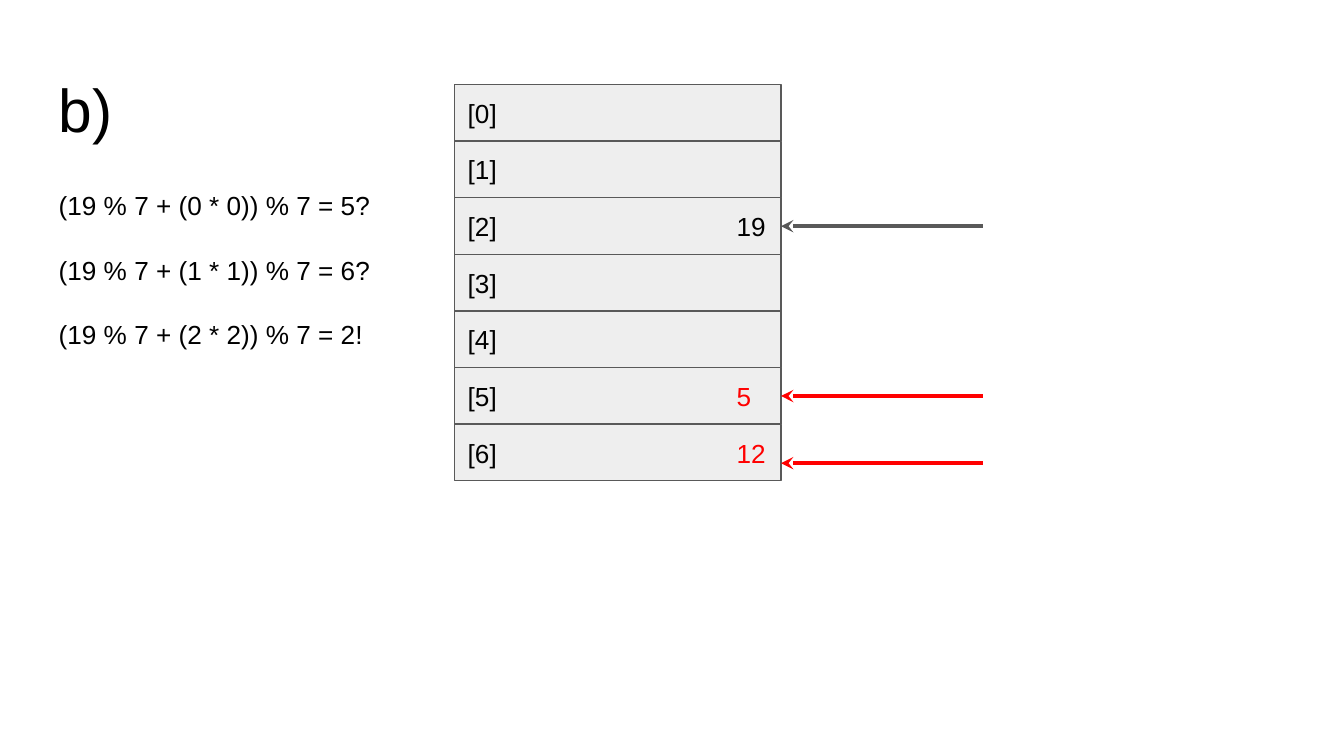
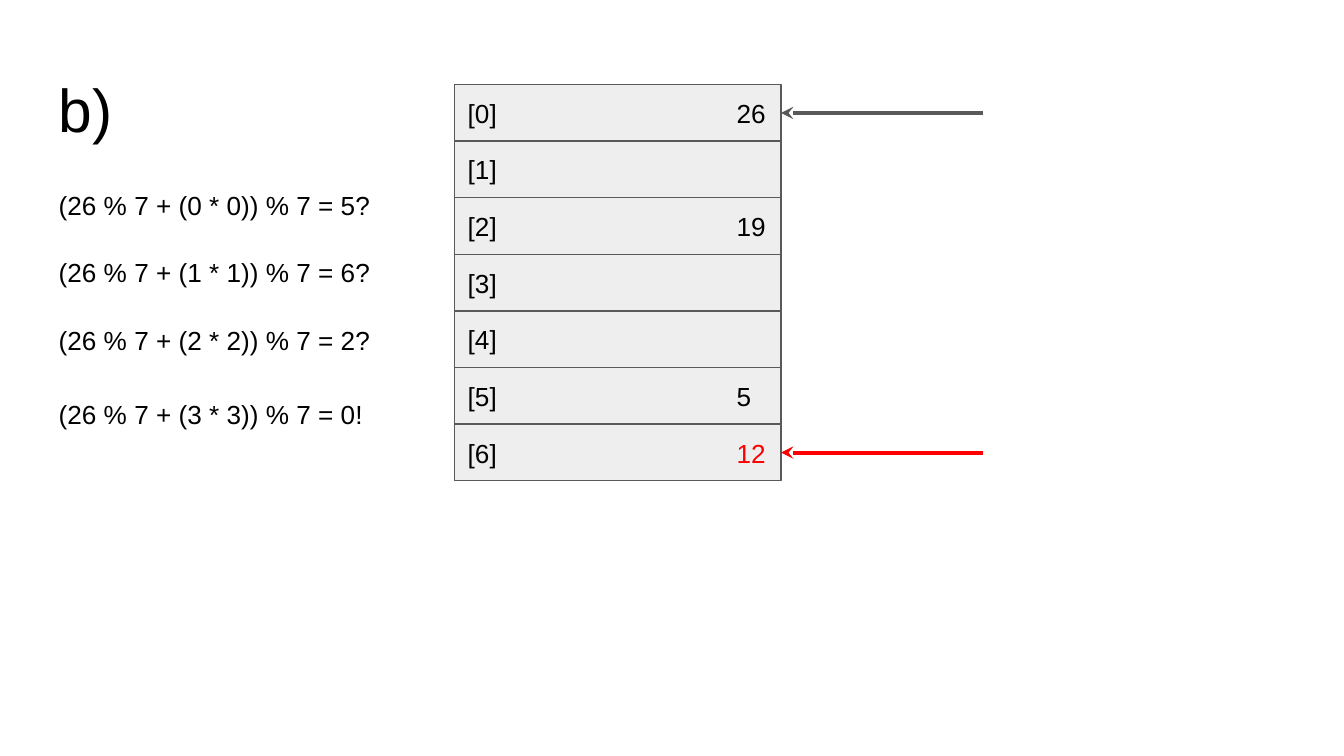
from lxml import etree
from pptx import Presentation
from pptx.dml.color import RGBColor
from pptx.enum.shapes import MSO_CONNECTOR, MSO_SHAPE
from pptx.enum.text import MSO_ANCHOR, MSO_AUTO_SIZE, PP_ALIGN
from pptx.oxml.ns import qn
from pptx.util import Cm, Pt

BLACK = RGBColor(0x00, 0x00, 0x00)
RED = RGBColor(0xFF, 0x00, 0x00)
GREY = RGBColor(0x59, 0x59, 0x59)
LIGHT_GREY = RGBColor(0xEE, 0xEE, 0xEE)

FONT = "Arial"
INSET = Cm(0.25)
TEXT_LEFT = 0.86

# Hash table geometry in centimetres
ROWS = 7
TABLE_LEFT, TABLE_TOP = 8.59, 1.6
TABLE_WIDTH, ROW_HEIGHT = 6.17, 1.07
VALUE_TAB = Cm(5.08)
ARROW_LENGTH = 3.81

# steps: (formula, top, width); entries: row -> (key, colour);
# probes: (row, colour, distance below the row's centre)
PROBINGS = [
    {
        "steps": [
            ("(19 % 7 + (0 * 0)) % 7 = 5?", 3.33, 6.58),
            ("(19 % 7 + (1 * 1)) % 7 = 6?", 4.55, 6.58),
            ("(19 % 7 + (2 * 2)) % 7 = 2!", 5.77, 7.26),
        ],
        "entries": {2: ("19", BLACK), 5: ("5", RED), 6: ("12", RED)},
        "probes": [(2, GREY, 0), (5, RED, 0), (6, RED, 0.2)],
    },
    {
        "steps": [
            ("(26 % 7 + (0 * 0)) % 7 = 5?", 3.33, 6.58),
            ("(26 % 7 + (1 * 1)) % 7 = 6?", 4.6, 6.58),
            ("(26 % 7 + (2 * 2)) % 7 = 2?", 5.89, 6.58),
            ("(26 % 7 + (3 * 3)) % 7 = 0!", 7.29, 6.58),
        ],
        "entries": {0: ("26", BLACK), 2: ("19", BLACK), 5: ("5", BLACK), 6: ("12", RED)},
        "probes": [(0, GREY, 0), (6, RED, 0)],
    },
]


def format_text(frame, size, anchor):
    """Apply the shared insets and font, and return the first paragraph."""
    frame.margin_left = frame.margin_right = INSET
    frame.margin_top = frame.margin_bottom = INSET
    frame.word_wrap = True
    frame.vertical_anchor = anchor
    paragraph = frame.paragraphs[0]
    paragraph.alignment = PP_ALIGN.LEFT
    paragraph.font.name = FONT
    paragraph.font.size = Pt(size)
    paragraph.font.color.rgb = BLACK
    return paragraph


prs = Presentation()
prs.slide_width, prs.slide_height = Cm(25.4), Cm(14.29)
title_only = prs.slide_layouts[5]

for probing in PROBINGS:
    slide = prs.slides.add_slide(title_only)
    shapes = slide.shapes

    heading = shapes.title
    heading.left, heading.top = Cm(TEXT_LEFT), Cm(1.24)
    heading.width, heading.height = Cm(23.67), Cm(1.6)
    heading.text_frame.text = "b)"
    heading.text_frame.auto_size = MSO_AUTO_SIZE.NONE
    format_text(heading.text_frame, 32.4, MSO_ANCHOR.MIDDLE)

    for row in range(ROWS):
        slot = shapes.add_shape(
            MSO_SHAPE.RECTANGLE, Cm(TABLE_LEFT), Cm(TABLE_TOP + row * ROW_HEIGHT),
            Cm(TABLE_WIDTH), Cm(ROW_HEIGHT))
        slot.shadow.inherit = False
        slot.fill.solid()
        slot.fill.fore_color.rgb = LIGHT_GREY
        slot.line.color.rgb = GREY
        slot.line.width = Pt(0.75)

        slot_text = slot.text_frame.paragraphs[0]
        slot_text.add_run().text = f"[{row}]"
        if row in probing["entries"]:
            key, key_color = probing["entries"][row]
            tab_list = etree.SubElement(slot_text._p.get_or_add_pPr(), qn("a:tabLst"))
            etree.SubElement(tab_list, qn("a:tab"), pos=str(VALUE_TAB), algn="l")
            key_run = slot_text.add_run()
            key_run.text = "\t" + key
            if key_color != BLACK:
                key_run.font.color.rgb = key_color
        format_text(slot.text_frame, 14, MSO_ANCHOR.MIDDLE)

    table_right = TABLE_LEFT + TABLE_WIDTH
    for row, color, drop in probing["probes"]:
        y = Cm(TABLE_TOP + (row + 0.5) * ROW_HEIGHT + drop)
        arrow = shapes.add_connector(
            MSO_CONNECTOR.STRAIGHT, Cm(table_right + ARROW_LENGTH), y, Cm(table_right), y)
        arrow.line.color.rgb = color
        arrow.line.width = Pt(2.25)
        etree.SubElement(arrow.line._get_or_add_ln(), qn("a:tailEnd"), type="stealth")
        etree.SubElement(arrow._element.spPr, qn("a:effectLst"))

    for formula, top, width in probing["steps"]:
        step = shapes.add_textbox(Cm(TEXT_LEFT), Cm(top), Cm(width), Cm(1.12))
        step.text_frame.text = formula
        step.text_frame.auto_size = MSO_AUTO_SIZE.SHAPE_TO_FIT_TEXT
        format_text(step.text_frame, 14, MSO_ANCHOR.TOP)

prs.save("out.pptx")
